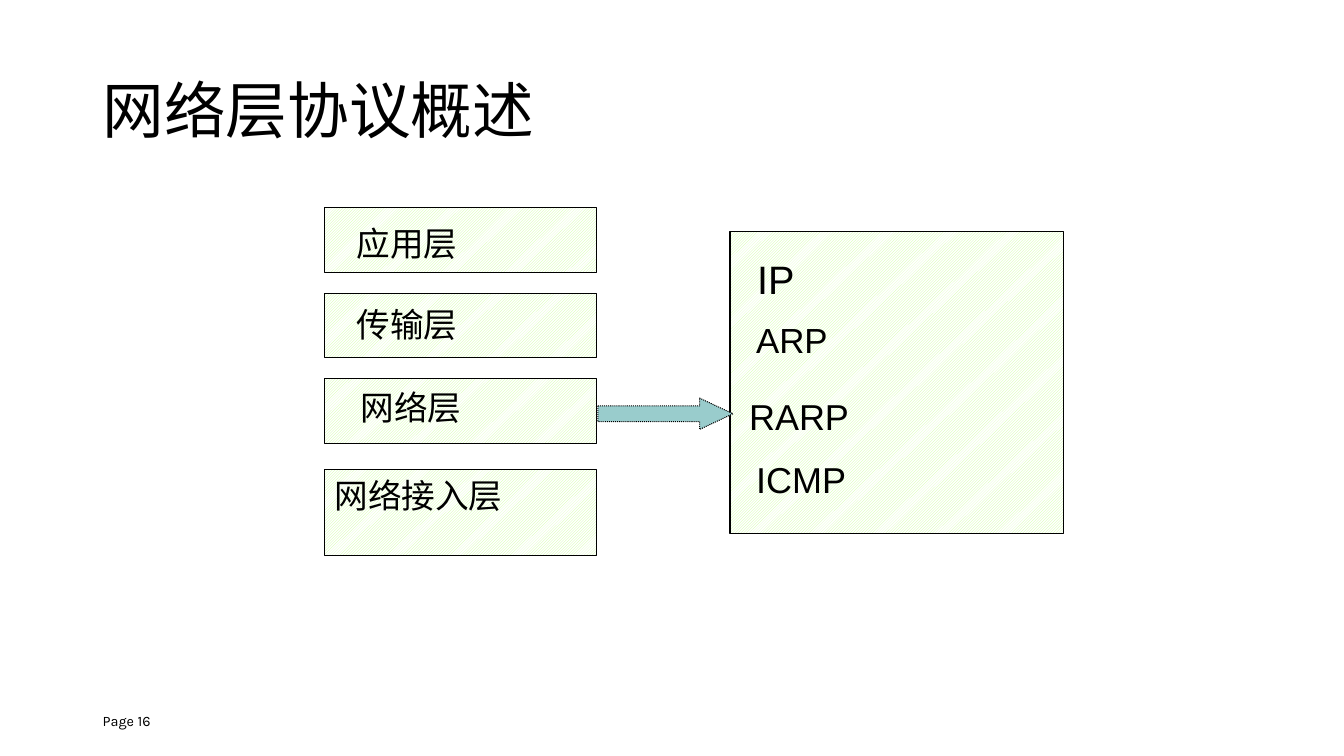
from dataclasses import dataclass

from pptx import Presentation
from pptx import util as u
from pptx.dml import color
from pptx.enum import dml, shapes, text
from pptx.oxml import ns

COLORS = {"ink": "000000", "paper": "FFFFFF", "stripe": "CCFF99", "arrow": "99CCCC"}
CJK_FONT = "Noto Sans CJK SC"
LAYER_LEFT, LAYER_WIDTH = 3.22, 2.7


@dataclass(frozen=True)
class Box:
    left: float
    top: float
    width: float
    height: float

    def lengths(self) -> list[u.Length]:
        return [u.Inches(v) for v in (self.left, self.top, self.width, self.height)]


@dataclass(frozen=True)
class Label:
    wording: str
    box: Box
    size: float
    font: str
    inset: tuple[float, float] = (0.1, 0.05)
    anchor: text.MSO_ANCHOR = text.MSO_ANCHOR.TOP
    spacing: float = 1.0


def rgb(name: str) -> color.RGBColor:
    return color.RGBColor.from_string(COLORS[name])


def apply(target, values: dict) -> None:
    for key, value in values.items():
        setattr(target, key, value)


def write(holder, label: Label) -> None:
    across, down = (u.Inches(v) for v in label.inset)
    apply(holder.text_frame, {
        "word_wrap": True, "vertical_anchor": label.anchor,
        "margin_left": across, "margin_right": across,
        "margin_top": down, "margin_bottom": down,
    })
    paragraph = holder.text_frame.paragraphs[0]
    apply(paragraph, {"alignment": text.PP_ALIGN.LEFT, "line_spacing": label.spacing})
    run = paragraph.add_run()
    run.text = label.wording
    apply(run.font, {"size": u.Pt(label.size), "name": label.font})
    run.font.color.rgb = rgb("ink")
    east_asian = run.font._element.makeelement(ns.qn("a:ea"), {"typeface": CJK_FONT})
    run.font._element.find(ns.qn("a:latin")).addnext(east_asian)


def add_label(slide, label: Label) -> None:
    write(slide.shapes.add_textbox(*label.box.lengths()), label)


def add_outlined(slide, kind: shapes.MSO_SHAPE, box: Box):
    shape = slide.shapes.add_shape(kind, *box.lengths())
    shape.shadow.inherit = False
    shape.line.color.rgb = rgb("ink")
    shape.line.width = u.Pt(0.75)
    return shape


def add_panel(slide, box: Box):
    panel = add_outlined(slide, shapes.MSO_SHAPE.RECTANGLE, box)
    panel.fill.patterned()
    panel.fill.pattern = dml.MSO_PATTERN.LIGHT_UPWARD_DIAGONAL
    panel.fill.fore_color.rgb = rgb("stripe")
    panel.fill.back_color.rgb = rgb("paper")
    return panel


def add_arrow(slide, box: Box) -> None:
    arrow = add_outlined(slide, shapes.MSO_SHAPE.RIGHT_ARROW, box)
    arrow.fill.solid()
    arrow.fill.fore_color.rgb = rgb("arrow")
    arrow.line.dash_style = dml.MSO_LINE.ROUND_DOT
    arrow.adjustments[0] = 0.5
    arrow.adjustments[1] = 1.065


HEADINGS = [
    Label("Page 16", Box(0.92, 6.95, 3, 0.4), 10.3, "Karla", anchor=text.MSO_ANCHOR.MIDDLE),
    Label("网络层协议概述", Box(0.92, 0.4, 11.5, 1.45), 44, CJK_FONT,
          anchor=text.MSO_ANCHOR.MIDDLE, spacing=0.9),
]
UPPER_LAYERS = [
    Label(wording, Box(left, top, 1.6, 0.45), 24, "Times New Roman")
    for wording, left, top in [
        ("应用层", 3.44, 2.16), ("传输层", 3.44, 2.97), ("网络层", 3.48, 3.79),
    ]
]
ACCESS_LAYER = Label("网络接入层", Box(LAYER_LEFT, 4.66, LAYER_WIDTH, 0.85), 24, "Times New Roman")
PROTOCOLS = [
    Label(wording, Box(left, top, 1.3, 0.45), size, "Arial", inset=(0, 0))
    for wording, left, top, size in [
        ("IP", 7.51, 2.53, 28.3), ("ARP", 7.5, 3.16, 24.9),
        ("RARP", 7.43, 3.91, 25.7), ("ICMP", 7.5, 4.54, 25.7),
    ]
]


def main() -> None:
    deck = Presentation()
    apply(deck, {"slide_width": u.Inches(13.33), "slide_height": u.Inches(7.5)})
    slide = deck.slides.add_slide(deck.slide_layouts[6])
    for heading in HEADINGS:
        add_label(slide, heading)
    for index, layer in enumerate(UPPER_LAYERS):
        add_panel(slide, Box(LAYER_LEFT, 2.06 + 0.85 * index, LAYER_WIDTH, 0.64))
        add_label(slide, layer)
    write(add_panel(slide, ACCESS_LAYER.box), ACCESS_LAYER)
    add_panel(slide, Box(7.24, 2.3, 3.31, 2.99))
    for protocol in PROTOCOLS:
        add_label(slide, protocol)
    add_arrow(slide, Box(5.93, 3.95, 1.34, 0.31))
    deck.save("out.pptx")


if __name__ == "__main__":
    main()
